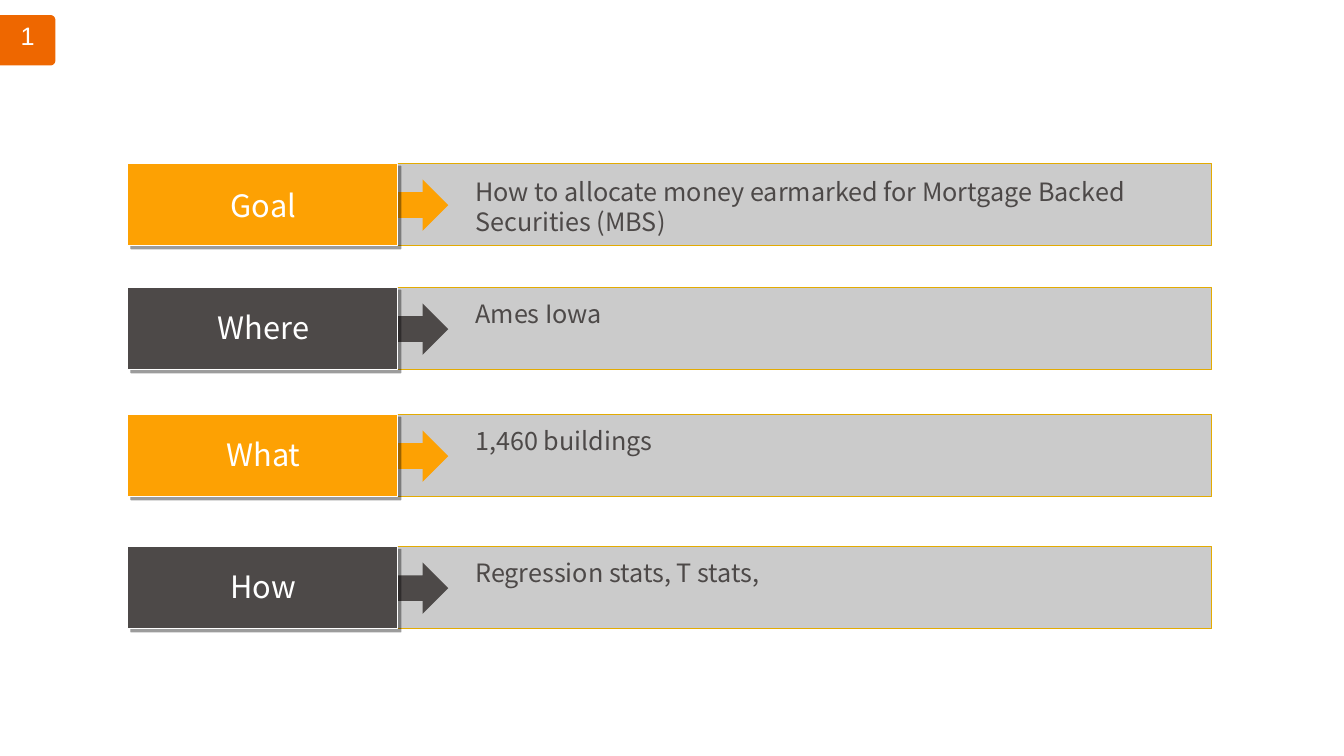
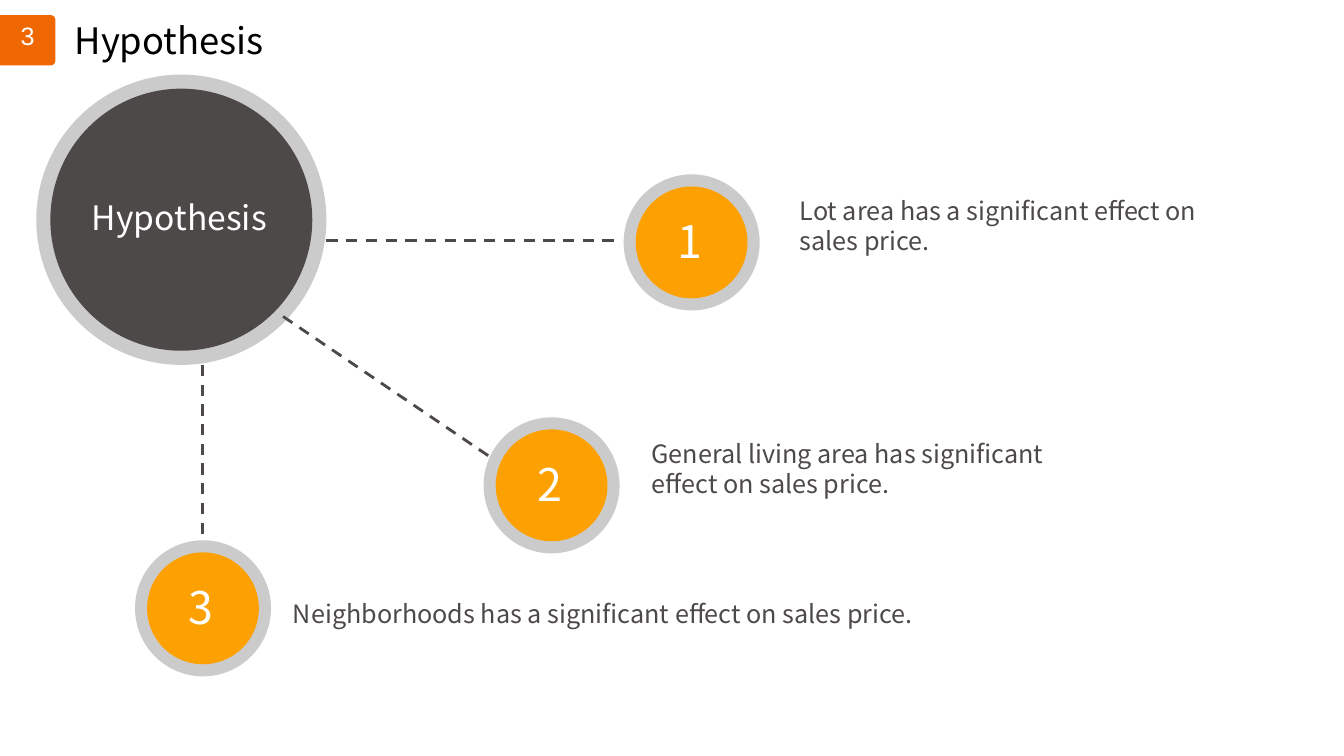
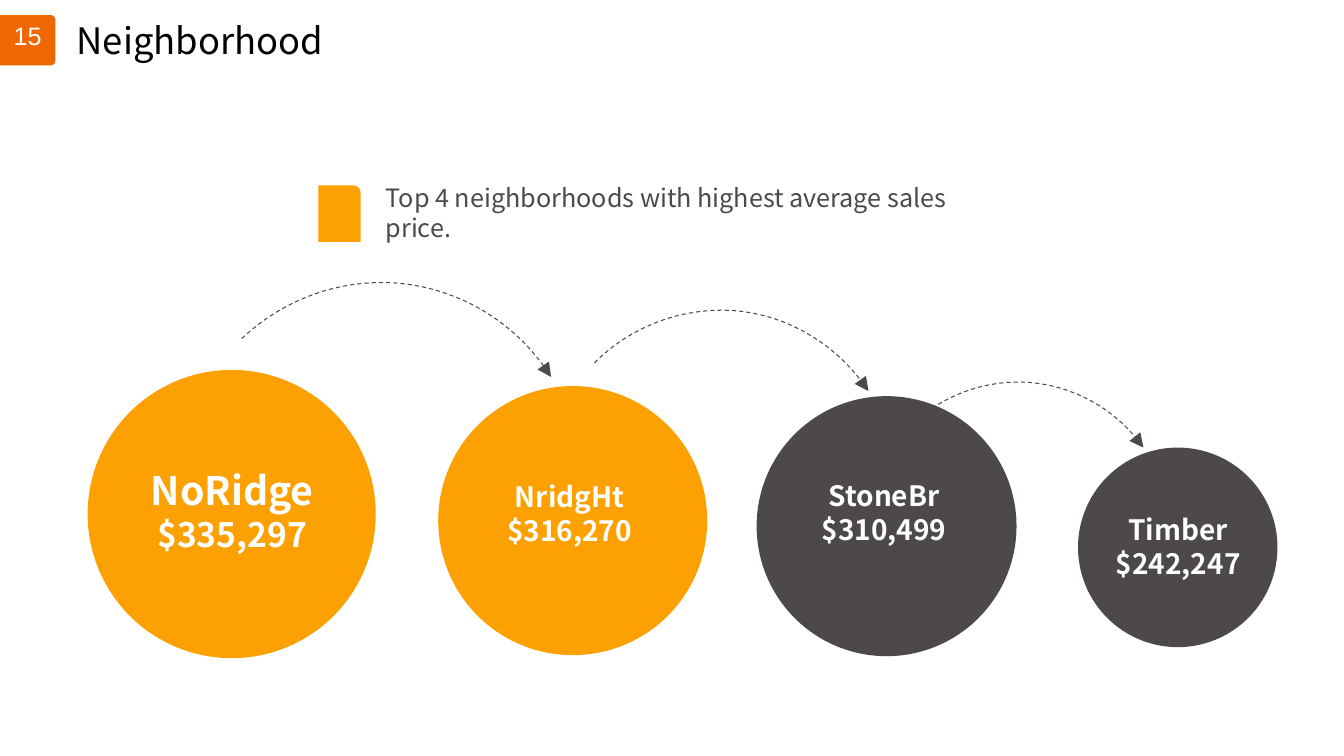
from math import cos, radians, sin

from lxml.etree import SubElement
from pptx import Presentation
from pptx.dml.color import RGBColor
from pptx.enum.dml import MSO_LINE
from pptx.enum.shapes import MSO_CONNECTOR, MSO_SHAPE
from pptx.enum.text import MSO_ANCHOR, MSO_AUTO_SIZE, PP_ALIGN
from pptx.oxml.ns import qn
from pptx.util import Pt

PX = 9144  # 100 px to the inch
ORANGE, AMBER, DARK, GREY = "EE6700", "FDA103", "4D4948", "CBCBCB"
GOLD, WHITE, BLACK = "E3AB02", "FFFFFF", "000000"
FONT = "Noto Sans CJK SC"


def paint(shape, fill=None, line=None, width=0.75, dashed=False, arrow=False, shadow=False):
    """Set fill, outline and shadow of a shape or connector."""
    if fill:
        shape.fill.solid()
        shape.fill.fore_color.rgb = RGBColor.from_string(fill)
    elif hasattr(shape, "fill"):
        shape.fill.background()
    if line:
        shape.line.color.rgb = RGBColor.from_string(line)
        shape.line.width = Pt(width)
    else:
        shape.line.fill.background()
    if dashed:
        shape.line.dash_style = MSO_LINE.DASH
    properties = shape._element.spPr
    if arrow:
        SubElement(properties.find(qn("a:ln")), qn("a:tailEnd"), type="triangle", w="lg", len="lg")
    effects = SubElement(properties, qn("a:effectLst"))
    if shadow:
        outer = SubElement(effects, qn("a:outerShdw"), blurRad="0", dist=str(Pt(3)),
                           dir="2700000", algn="tl", rotWithShape="0")
        black = SubElement(outer, qn("a:srgbClr"), val=BLACK)
        SubElement(black, qn("a:alpha"), val="38000")


def write(holder, text, at=None, size=18, last_size=None, color=DARK, font=FONT,
          bold=False, align=PP_ALIGN.LEFT, wrap=True):
    """Write into a shape, or into a new text box when a place on a slide is given."""
    box = holder.shapes.add_textbox(*[v * PX for v in at]) if at else holder
    frame = box.text_frame
    frame.word_wrap = wrap
    frame.auto_size = MSO_AUTO_SIZE.NONE
    frame.vertical_anchor = MSO_ANCHOR.TOP
    frame.text = text
    for paragraph in frame.paragraphs:
        paragraph.alignment = align
        paragraph.font.size = Pt(size)
        paragraph.font.name = font
        paragraph.font.bold = bold
        paragraph.font.color.rgb = RGBColor.from_string(color)
    if last_size:
        frame.paragraphs[-1].font.size = Pt(last_size)


deck = Presentation()
deck.slide_width, deck.slide_height = 1334 * PX, 750 * PX
TITLE_ONLY, BLANK = deck.slide_layouts[5], deck.slide_layouts[6]

# Shared parts: title and page badge with two rounded corners on the right
corners = [(50 + 5 * cos(radians(a)), y + 5 * sin(radians(a)))
           for y, start in ((20, -90), (60, 0)) for a in range(start, start + 91, 15)]
badge_outline = [(x * PX, y * PX) for x, y in corners + [(0, 65)]]
slides = []
for number, title, title_left, title_width in (
        ("1", None, 0, 0), ("3", "Hypothesis", 64, 209), ("15", "Neighborhood", 66, 269)):
    slide = deck.slides.add_slide(TITLE_ONLY if title else BLANK)
    if title:
        heading = slide.shapes.title
        heading.left, heading.top = title_left * PX, 13 * PX
        heading.width, heading.height = title_width * PX, 54 * PX
        write(heading, title, size=26, color=BLACK, wrap=False)
    builder = slide.shapes.build_freeform(0, 15 * PX)
    builder.add_line_segments(badge_outline)
    badge = builder.convert_to_shape()
    paint(badge, ORANGE)
    write(badge, number, color=WHITE, font="Arial", align=PP_ALIGN.CENTER)
    slides.append(slide)
overview, hypothesis, neighborhood = slides

# Overview: four rows of label, arrow and bar
for top, text_top, label, answer, color in (
        (162, 170, "Goal", "How to allocate money earmarked for Mortgage Backed Securities (MBS)", AMBER),
        (285, 291, "Where", "Ames Iowa", DARK),
        (411, 417, "What", "1,460 buildings", AMBER),
        (542, 548, "How", "Regression stats, T stats,", DARK)):
    bar = overview.shapes.add_shape(MSO_SHAPE.RECTANGLE, 390 * PX, top * PX, 813 * PX, 82 * PX)
    paint(bar, GREY, GOLD)
    pointer = overview.shapes.add_shape(
        MSO_SHAPE.RIGHT_ARROW, 382 * PX, (top + 16) * PX, 63 * PX, 51 * PX)
    paint(pointer, color)
    plate = overview.shapes.add_shape(MSO_SHAPE.RECTANGLE, 127 * PX, top * PX, 268 * PX, 82 * PX)
    paint(plate, color, WHITE, shadow=True)
    write(overview, label, (170, text_top + 10, 183, 47), size=22, color=WHITE, align=PP_ALIGN.CENTER)
    write(overview, answer, (462, text_top, 701, 70))

# Hypothesis: hub, dashed spokes and three numbered claims
for left, top, diameter, color in ((36, 74, 288, GREY), (50, 88, 260, DARK)):
    hub = hypothesis.shapes.add_shape(
        MSO_SHAPE.OVAL, left * PX, top * PX, diameter * PX, diameter * PX)
    paint(hub, color)
write(hypothesis, "Hypothesis", (78, 190, 200, 50), size=24, color=WHITE, align=PP_ALIGN.CENTER)

for ends in ((324, 239, 612, 239), (281, 314, 486, 453), (201, 362, 201, 537)):
    spoke = hypothesis.shapes.add_connector(MSO_CONNECTOR.STRAIGHT, *[v * PX for v in ends])
    paint(spoke, line=DARK, width=0, dashed=True)

for number, left, top, claim, claim_at in (
        ("1", 619, 173, "Lot area has a significant effect on sales price.", (784, 189, 433, 70)),
        ("2", 480, 414, "General living area has significant effect on sales price.", (637, 430, 447, 70)),
        ("3", 134, 536, "Neighborhoods has a significant effect on sales price.", (281, 589, 670, 40))):
    for inset, color in ((0, GREY), (12, AMBER)):
        diameter = 135 - 2 * inset
        disc = hypothesis.shapes.add_shape(
            MSO_SHAPE.OVAL, (left + inset) * PX, (top + inset) * PX, diameter * PX, diameter * PX)
        paint(disc, color)
    write(hypothesis, number, (left + 18, top + 34, 95, 64), size=32, color=WHITE, align=PP_ALIGN.CENTER)
    write(hypothesis, claim, claim_at)

# Neighborhood: remark with its tab
tab = neighborhood.shapes.add_shape(
    MSO_SHAPE.ROUND_1_RECTANGLE, 316 * PX, 184 * PX, 42 * PX, 56 * PX)
paint(tab, AMBER)
write(neighborhood, "Top 4 neighborhoods with highest average sales price.", (373, 176, 634, 70))

# Neighborhood: circles shrinking with the price
for name, price, color, left, top, diameter, text_at, size, price_size in (
        ("NoRidge", "$335,297", AMBER, 87, 367, 286, (134, 458, 193, 97), 28, 24),
        ("NridgHt", "$316,270", AMBER, 435, 383, 267, (476, 471, 179, 77), 20, 20),
        ("StoneBr", "$310,499", DARK, 751, 393, 258, (788, 470, 179, 77), 20, 20),
        ("Timber", "$242,247", DARK, 1070, 444, 198, (1080, 504, 179, 77), 20, 20)):
    circle = neighborhood.shapes.add_shape(
        MSO_SHAPE.OVAL, left * PX, top * PX, diameter * PX, diameter * PX)
    paint(circle, color)
    write(neighborhood, f"{name}\n{price}", text_at, size=size, last_size=price_size,
          color=WHITE, bold=True, align=PP_ALIGN.CENTER)

# Neighborhood: curved arrows, each made of two cubic curves
STEPS = 16
for curve in (
        ((240, 336), (280, 298), (336, 276), (396, 281), (460, 287), (515, 323), (547, 374)),
        ((590, 360), (625, 325), (674, 305), (727, 308), (784, 312), (833, 344), (862, 388)),
        ((898, 428), (927, 397), (969, 378), (1015, 379), (1065, 381), (1108, 406), (1135, 444))):
    points = []
    for a, b, c, d in (curve[:4], curve[3:]):
        for step in range(1, STEPS + 1):
            t = step / STEPS
            u = 1 - t
            points.append([PX * (u**3 * a[i] + 3 * u * u * t * b[i] + 3 * u * t * t * c[i] + t**3 * d[i])
                           for i in (0, 1)])
    builder = neighborhood.shapes.build_freeform(curve[0][0] * PX, curve[0][1] * PX)
    builder.add_line_segments(points, close=False)
    paint(builder.convert_to_shape(), line=DARK, width=0, dashed=True, arrow=True)

deck.save("out.pptx")
